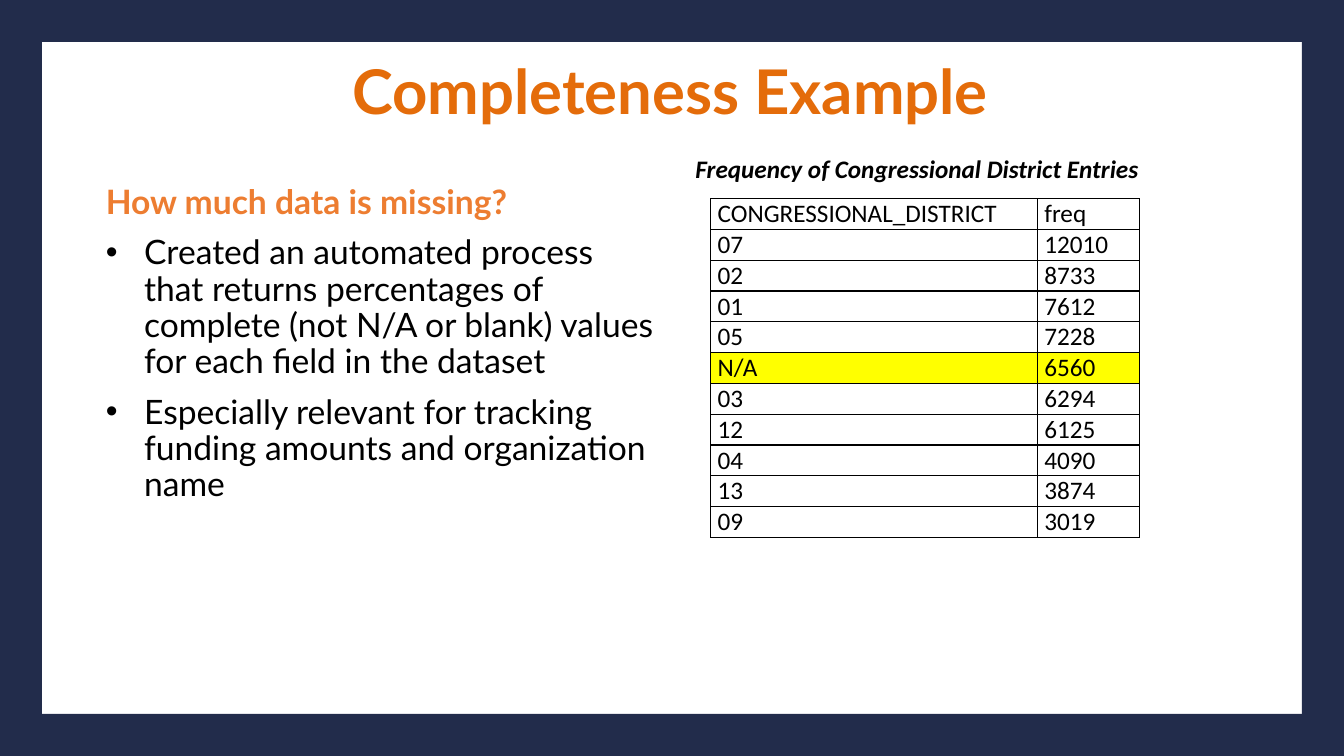
from lxml import etree
from pptx import Presentation
from pptx.dml.color import RGBColor
from pptx.enum.shapes import MSO_SHAPE
from pptx.enum.text import MSO_ANCHOR, MSO_AUTO_SIZE, PP_ALIGN
from pptx.oxml.ns import qn
from pptx.util import Inches, Pt

RECTANGLE = MSO_SHAPE.RECTANGLE
TOP = MSO_ANCHOR.TOP
NO_FIT, GROW = MSO_AUTO_SIZE.NONE, MSO_AUTO_SIZE.SHAPE_TO_FIT_TEXT
LEFT, CENTER = PP_ALIGN.LEFT, PP_ALIGN.CENTER

NAVY = RGBColor(0x22, 0x2C, 0x4B)
TITLE_ORANGE = RGBColor(0xE4, 0x6C, 0x0A)
HEADING_ORANGE = RGBColor(0xED, 0x7D, 0x31)
BLACK = RGBColor(0, 0, 0)
WHITE = RGBColor(0xFF, 0xFF, 0xFF)
YELLOW = RGBColor(0xFF, 0xFF, 0)

COLUMNS, ROWS = 32, 18
UNIT = Inches(7.5) / ROWS

QUESTION = "How much data is missing?"
FINDINGS = [
    "Created an automated process that returns percentages of complete "
    "(not N/A or blank) values for each field in the dataset",
    "Especially relevant for tracking funding amounts and organization name",
]
FREQUENCIES = [
    ("CONGRESSIONAL_DISTRICT", "freq"),
    ("07", "12010"),
    ("02", "8733"),
    ("01", "7612"),
    ("05", "7228"),
    ("N/A", "6560"),
    ("03", "6294"),
    ("12", "6125"),
    ("04", "4090"),
    ("13", "3874"),
    ("09", "3019"),
]


def grid(*cells):
    return [round(cell * UNIT) for cell in cells]


def write(paragraph, text, font="Calibri", size=18, color=BLACK, bold=False,
          italic=False, align=LEFT, spacing=None, before=0, bullet=None):
    properties = paragraph._p.get_or_add_pPr()
    indent = Inches(0.38) if bullet else 0
    properties.set("marL", str(indent))
    properties.set("indent", str(-indent))
    if bullet:
        etree.SubElement(properties, qn("a:buFont"), typeface="Arial")
        etree.SubElement(properties, qn("a:buChar"), char=bullet)
    else:
        etree.SubElement(properties, qn("a:buNone"))
    paragraph.alignment = align
    paragraph.space_before = Pt(before)
    if spacing:
        paragraph.line_spacing = spacing
    run = paragraph.add_run()
    run.text = text
    run.font.name = font
    run.font.size = Pt(size)
    run.font.bold = bold
    run.font.italic = italic
    run.font.color.rgb = color


class Deck:
    heading_font = "Lato"
    line_spacing = 0.9

    def __init__(self):
        self.presentation = Presentation()
        self.presentation.slide_width = round(COLUMNS * UNIT)
        self.presentation.slide_height = round(ROWS * UNIT)
        self.slide = self.presentation.slides.add_slide(self.presentation.slide_layouts[1])
        self.slide.background.fill.solid()
        self.slide.background.fill.fore_color.rgb = WHITE

    def bar(self, *place):
        bar = self.slide.shapes.add_shape(RECTANGLE, *grid(*place))
        bar.shadow.inherit = False
        bar.fill.solid()
        bar.fill.fore_color.rgb = NAVY
        bar.line.fill.background()

    def frame(self):
        for column in (0, COLUMNS - 1):
            self.bar(column, 0, 1, ROWS)
        for row in (0, ROWS - 1):
            self.bar(1, row, COLUMNS - 2, 1)

    def place(self, placeholder, *cells):
        placeholder.left, placeholder.top, placeholder.width, placeholder.height = grid(*cells)
        content = placeholder.text_frame
        content.auto_size = NO_FIT
        content.vertical_anchor = TOP
        return content

    def title(self, text, *cells):
        content = self.place(self.slide.shapes.title, *cells)
        write(content.paragraphs[0], text, font=self.heading_font, size=44,
              color=TITLE_ORANGE, bold=True, align=CENTER, spacing=self.line_spacing)

    def body(self, heading, points, *cells):
        content = self.place(self.slide.placeholders[1], *cells)
        style = dict(font=self.heading_font, size=24, spacing=self.line_spacing)
        write(content.paragraphs[0], heading, color=HEADING_ORANGE, bold=True, **style)
        for point in points:
            write(content.add_paragraph(), point, before=10, bullet="•", **style)

    def caption(self, text, *cells):
        content = self.slide.shapes.add_textbox(*grid(*cells)).text_frame
        content.word_wrap = True
        content.auto_size = GROW
        write(content.paragraphs[0], text, bold=True, italic=True)

    def border(self, cell):
        properties = cell._tc.get_or_add_tcPr()
        for position, side in enumerate(("lnL", "lnR", "lnT", "lnB")):
            line = etree.Element(qn(f"a:{side}"), w=str(Pt(1)))
            fill = etree.SubElement(line, qn("a:solidFill"))
            etree.SubElement(fill, qn("a:srgbClr"), val=str(BLACK))
            properties.insert(position, line)

    def table(self, records, left, top, widths, row_height, marked):
        table = self.slide.shapes.add_table(
            len(records), len(widths),
            *grid(left, top, sum(widths), row_height * len(records))).table
        table.first_row = table.horz_banding = False
        for column, width in zip(table.columns, grid(*widths)):
            column.width = width
        for row, record in zip(table.rows, records):
            for cell, value in zip(row.cells, record):
                cell.margin_left = cell.margin_right = Inches(0.07)
                cell.margin_top = cell.margin_bottom = 0
                cell.fill.solid()
                cell.fill.fore_color.rgb = YELLOW if record[0] == marked else WHITE
                self.border(cell)
                write(cell.text_frame.paragraphs[0], value)


def main():
    deck = Deck()
    deck.frame()
    deck.title("Completeness Example", 1.56, 1.34, 28.8, 3)
    deck.body(QUESTION, FINDINGS, 2.28, 4.3, 13.54, 11.62)
    deck.table(FREQUENCIES, 16.92, 4.73, (7.78, 2.44), 0.73, marked="N/A")
    deck.caption("Frequency of Congressional District Entries", 16.32, 3.53, 11.16, 0.97)
    deck.presentation.save("out.pptx")


if __name__ == "__main__":
    main()
